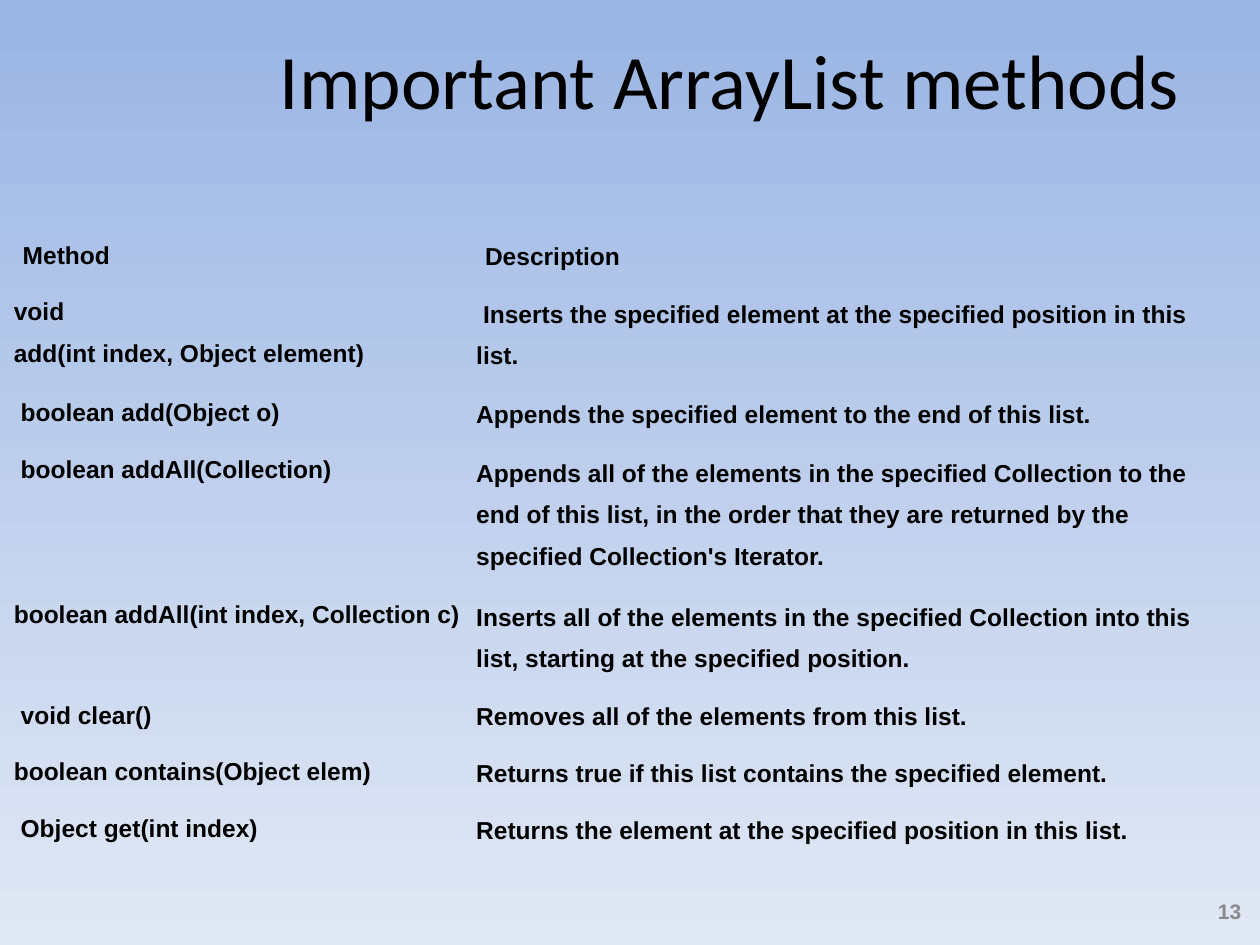
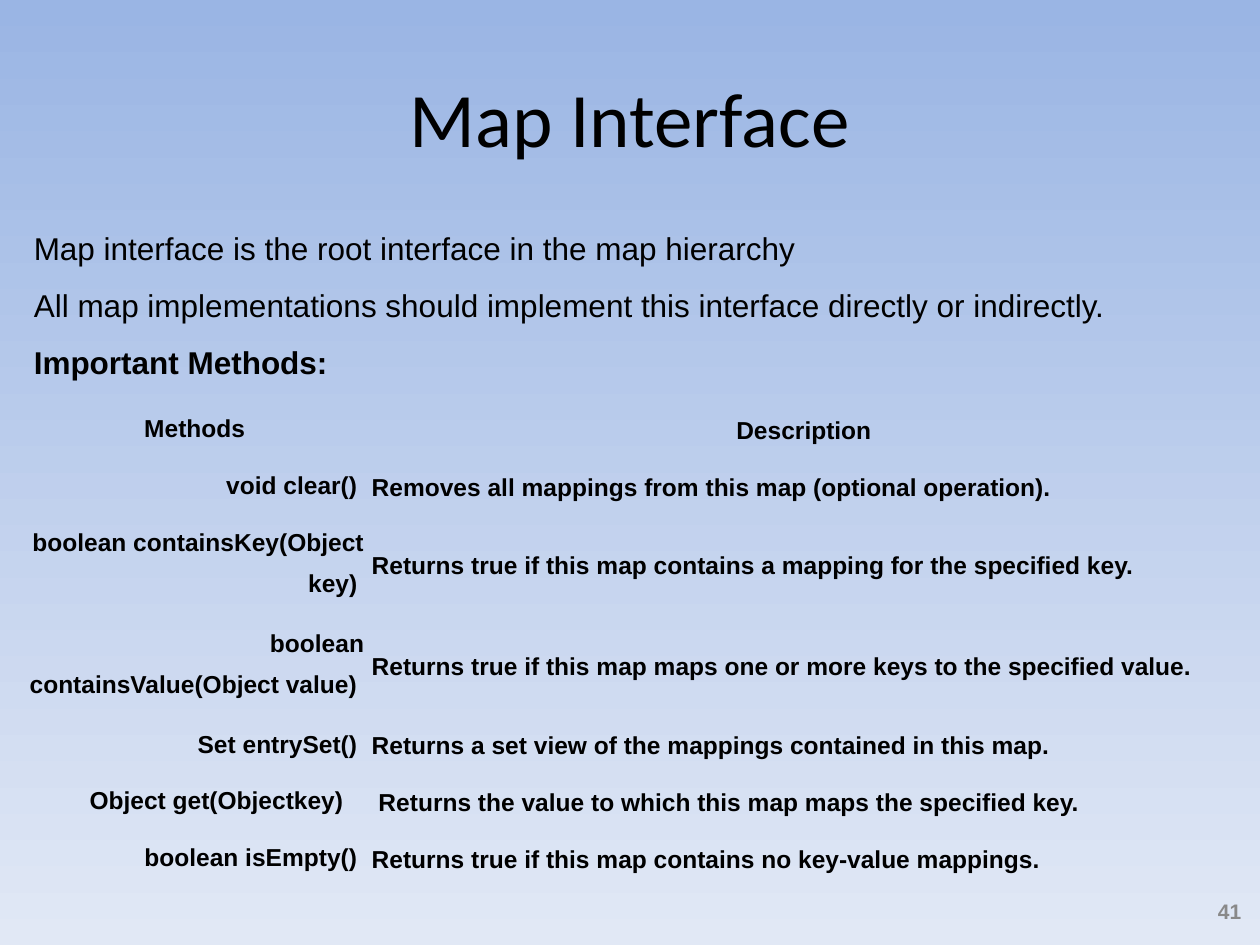
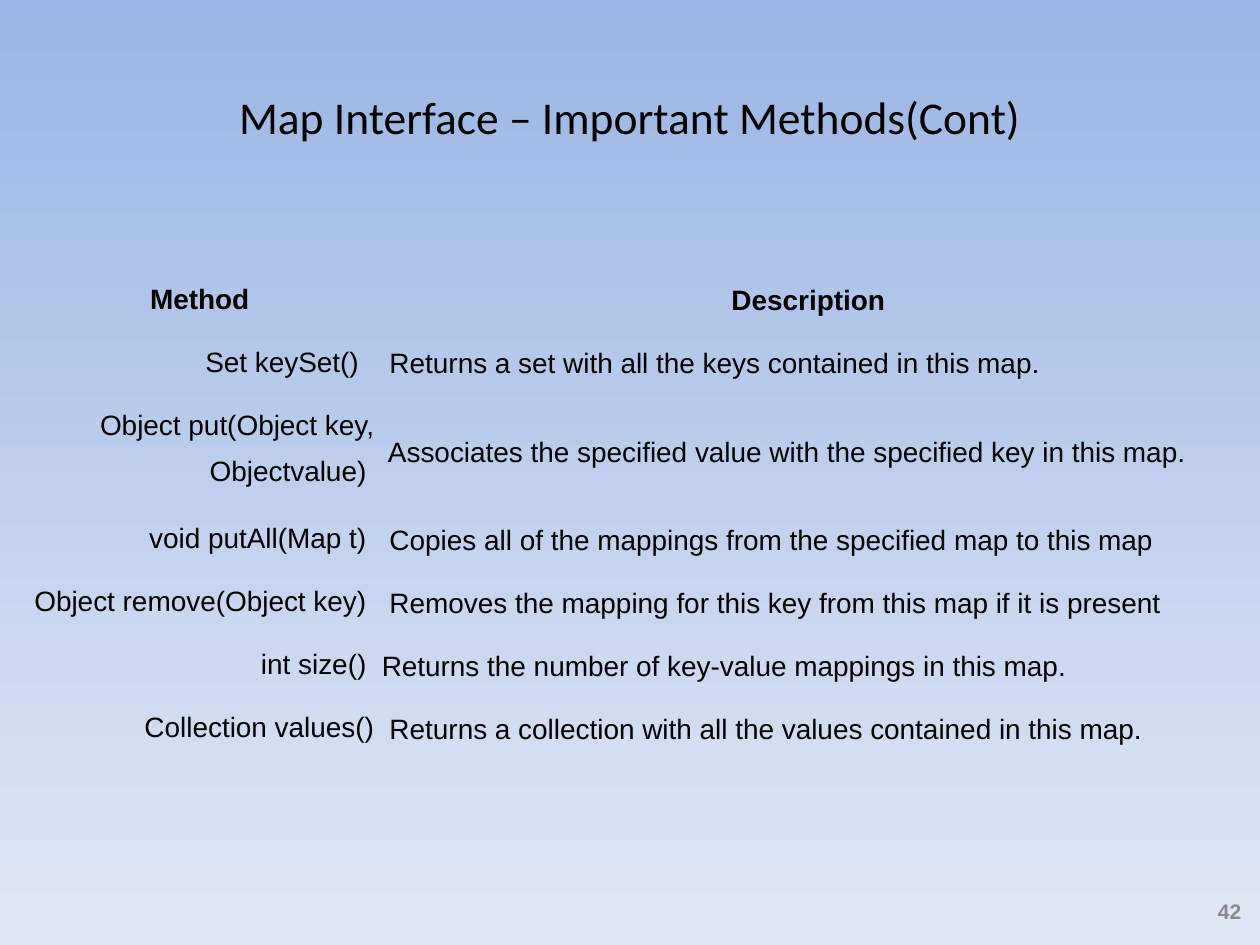
import dataclasses
import typing

import pptx
import pptx.dml.color
import pptx.enum.text
import pptx.slide
import pptx.table
import pptx.text.text
import pptx.util

Inches = pptx.util.Inches
Pt = pptx.util.Pt
Align = pptx.enum.text.PP_ALIGN
Anchor = pptx.enum.text.MSO_ANCHOR
Color = pptx.dml.color.RGBColor


@dataclasses.dataclass(frozen=True)
class Theme:
    sky: Color = Color(0x9A, 0xB5, 0xE4)
    haze: Color = Color(0xE1, 0xE8, 0xF5)
    ink: Color = Color(0, 0, 0)
    muted: Color = Color(0x89, 0x89, 0x89)
    heading_font: str = "Calibri"
    body_font: str = "Arial"
    title_size: int = 44
    long_title_size: int = 26
    intro_size: int = 18
    method_size: int = 14
    large_method_size: int = 16
    number_size: int = 12
    line_spacing: float = 1.5
    narrow_inset: float = 0.03
    wide_inset: float = 0.1
    plain_table: str = "{2D5ABB26-0587-4C30-8999-92F81FD0307C}"


THEME = Theme()


@dataclasses.dataclass(frozen=True)
class Box:
    left: float
    top: float
    width: float
    height: float

    def lengths(self) -> dict[str, int]:
        return {name: Inches(value) for name, value in dataclasses.asdict(self).items()}


@dataclasses.dataclass(frozen=True)
class Method:
    signature: str
    description: str
    lines: int = 1
    gap: float = 0


@dataclasses.dataclass(frozen=True)
class MethodTable:
    left: float
    top: float
    columns: tuple[float, float]
    headings: tuple[str, str]
    methods: tuple[Method, ...]
    heading_height: float = 0.45
    heading_inset: float = THEME.wide_inset
    heading_align: Align = Align.CENTER
    signature_align: Align = Align.RIGHT
    line_height: float = 0.35
    size: int = THEME.method_size
    bold: bool = True


@dataclasses.dataclass(frozen=True)
class Page:
    number: int
    title: str
    table: MethodTable
    title_box: Box = Box(0.5, 0.3, 9, 1.25)
    title_size: int = THEME.title_size
    intro: tuple[str, ...] = ()


NUMBER_BOX = Box(9.46, 7.06, 0.49, 0.35)
INTRO_BOX = Box(0.17, 1.62, 9.5, 1.45)

PAGES = (
    Page(
        13,
        "Important ArrayList methods",
        MethodTable(
            0.08, 1.76, (3.67, 6.08), ("Method", "Description"),
            (
                Method("void\nadd(int index, Object element)",
                       " Inserts the specified element at the specified position in this list.", 2),
                Method(" boolean add(Object o)",
                       "Appends the specified element to the end of this list."),
                Method(" boolean addAll(Collection)",
                       "Appends all of the elements in the specified Collection to the end of this list, "
                       "in the order that they are returned by the specified Collection's Iterator.", 3),
                Method("boolean addAll(int index, Collection c)",
                       "Inserts all of the elements in the specified Collection into this list, "
                       "starting at the specified position.", 2),
                Method(" void clear()", "Removes all of the elements from this list."),
                Method("boolean contains(Object elem)",
                       "Returns true if this list contains the specified element."),
                Method(" Object get(int index)",
                       "Returns the element at the specified position in this list."),
            ),
            heading_align=Align.LEFT,
            signature_align=Align.LEFT,
        ),
        title_box=Box(1.67, 0, 8.25, 1.25),
    ),
    Page(
        41,
        "Map Interface",
        MethodTable(
            0.17, 3.14, (2.75, 6.92), ("Methods", "Description"),
            (
                Method(" void clear() ", "Removes all mappings from this map (optional operation)."),
                Method(" boolean containsKey(Object key) ",
                       "Returns true if this map contains a mapping for the specified key.", 2),
                Method(" boolean containsValue(Object value) ",
                       "Returns true if this map maps one or more keys to the specified value.", 2),
                Method(" Set entrySet() ", "Returns a set view of the mappings contained in this map."),
                Method(" Object get(Objectkey) ",
                       " Returns the value to which this map maps the specified key.", gap=0.11),
                Method(" boolean isEmpty() ", "Returns true if this map contains no key-value mappings."),
            ),
        ),
        intro=(
            "Map interface is the root interface in the map hierarchy",
            "All map implementations should implement this interface directly or indirectly.",
            "Important Methods:",
        ),
    ),
    Page(
        42,
        "Map Interface – Important Methods(Cont)",
        MethodTable(
            0.17, 2.08, (2.83, 6.83), ("Method", "Description"),
            (
                Method(" Set keySet() ",
                       " Returns a set with all the keys contained in this map.", gap=0.06),
                Method(" Object put(Object key, Objectvalue) ",
                       " Associates the specified value with the specified key in this map.", 2),
                Method(" void putAll(Map t) ",
                       " Copies all of the mappings from the specified map to this map"),
                Method(" Object remove(Object key) ",
                       " Removes the mapping for this key from this map if it is present"),
                Method(" int size() ", "Returns the number of key-value mappings in this map."),
                Method(" Collection values()",
                       " Returns a collection with all the values contained in this map."),
            ),
            heading_height=0.46,
            heading_inset=THEME.narrow_inset,
            line_height=0.4,
            size=THEME.large_method_size,
            bold=False,
        ),
        title_size=THEME.long_title_size,
    ),
)


def apply(target: typing.Any, values: dict[str, typing.Any]) -> None:
    for name, value in values.items():
        setattr(target, name, value)


def write(frame: pptx.text.text.TextFrame, text: str, size: int, align: Align,
          bold: bool = False, font: str = THEME.body_font, color: Color = THEME.ink,
          spacing: float = 1.0) -> None:
    frame.text = text
    for paragraph in frame.paragraphs:
        apply(paragraph, {"alignment": align, "line_spacing": spacing})
        for run in paragraph.runs:
            apply(run.font, {"name": font, "size": Pt(size), "bold": bold})
            run.font.color.rgb = color


def paint_background(master: pptx.slide.SlideMaster) -> None:
    fill = master.background.fill
    fill.gradient()
    fill.gradient_angle = 270
    for stop, color in zip(fill.gradient_stops, (THEME.sky, THEME.haze)):
        stop.color.rgb = color


def add_frame(slide: pptx.slide.Slide, box: Box, anchor: Anchor) -> pptx.text.text.TextFrame:
    frame = slide.shapes.add_textbox(**box.lengths()).text_frame
    apply(frame, {"word_wrap": True, "vertical_anchor": anchor})
    return frame


def add_title(slide: pptx.slide.Slide, page: Page) -> None:
    title = slide.shapes.title
    apply(title, page.title_box.lengths())
    title.text_frame.vertical_anchor = Anchor.MIDDLE
    write(title.text_frame, page.title, page.title_size, Align.CENTER, font=THEME.heading_font)


def add_number(slide: pptx.slide.Slide, number: int) -> None:
    frame = add_frame(slide, NUMBER_BOX, Anchor.MIDDLE)
    write(frame, str(number), THEME.number_size, Align.RIGHT, True, color=THEME.muted)


def add_intro(slide: pptx.slide.Slide, lines: tuple[str, ...]) -> None:
    frame = add_frame(slide, INTRO_BOX, Anchor.TOP)
    write(frame, "\n".join(lines), THEME.intro_size, Align.LEFT, spacing=THEME.line_spacing)
    frame.paragraphs[-1].runs[0].font.bold = True
    frame.auto_size = pptx.enum.text.MSO_AUTO_SIZE.SHAPE_TO_FIT_TEXT


def fill_cell(cell: pptx.table._Cell, text: str, size: int, align: Align, bold: bool,
              anchor: Anchor, inset: float, gap: float = 0) -> None:
    cell.fill.background()
    apply(cell, {
        "margin_left": Inches(inset),
        "margin_right": Inches(inset + gap),
        "margin_top": Inches(0.05),
        "margin_bottom": Inches(0.05),
        "vertical_anchor": anchor,
    })
    write(cell.text_frame, text, size, align, bold, spacing=THEME.line_spacing)


def add_methods(slide: pptx.slide.Slide, content: MethodTable) -> None:
    heights = [content.heading_height]
    heights += [0.06 + content.line_height * method.lines for method in content.methods]
    box = Box(content.left, content.top, sum(content.columns), sum(heights))
    frame = slide.shapes.add_table(len(heights), len(content.columns), **box.lengths())
    table = frame.table
    apply(table, {"first_row": False, "horz_banding": False})
    table._tbl.tblPr[0].text = THEME.plain_table
    for column, width in zip(table.columns, content.columns):
        column.width = Inches(width)
    for row, height in zip(table.rows, heights):
        row.height = Inches(height)
    anchors = (Anchor.TOP, Anchor.MIDDLE)
    for column, (heading, anchor) in enumerate(zip(content.headings, anchors)):
        fill_cell(table.cell(0, column), heading, content.size, content.heading_align, True,
                  anchor, content.heading_inset)
    for row, method in enumerate(content.methods, 1):
        fill_cell(table.cell(row, 0), method.signature, content.size, content.signature_align,
                  content.bold, Anchor.TOP, THEME.narrow_inset, method.gap)
        fill_cell(table.cell(row, 1), method.description, content.size, Align.LEFT,
                  content.bold, Anchor.MIDDLE, THEME.narrow_inset)


def main() -> None:
    deck = pptx.Presentation()
    apply(deck, {"slide_width": Inches(10), "slide_height": Inches(7.5)})
    paint_background(deck.slide_master)
    title_only = deck.slide_layouts.get_by_name("Title Only")
    for page in PAGES:
        slide = deck.slides.add_slide(title_only)
        add_title(slide, page)
        add_number(slide, page.number)
        if page.intro:
            add_intro(slide, page.intro)
        add_methods(slide, page.table)
    deck.save("out.pptx")


if __name__ == "__main__":
    main()
